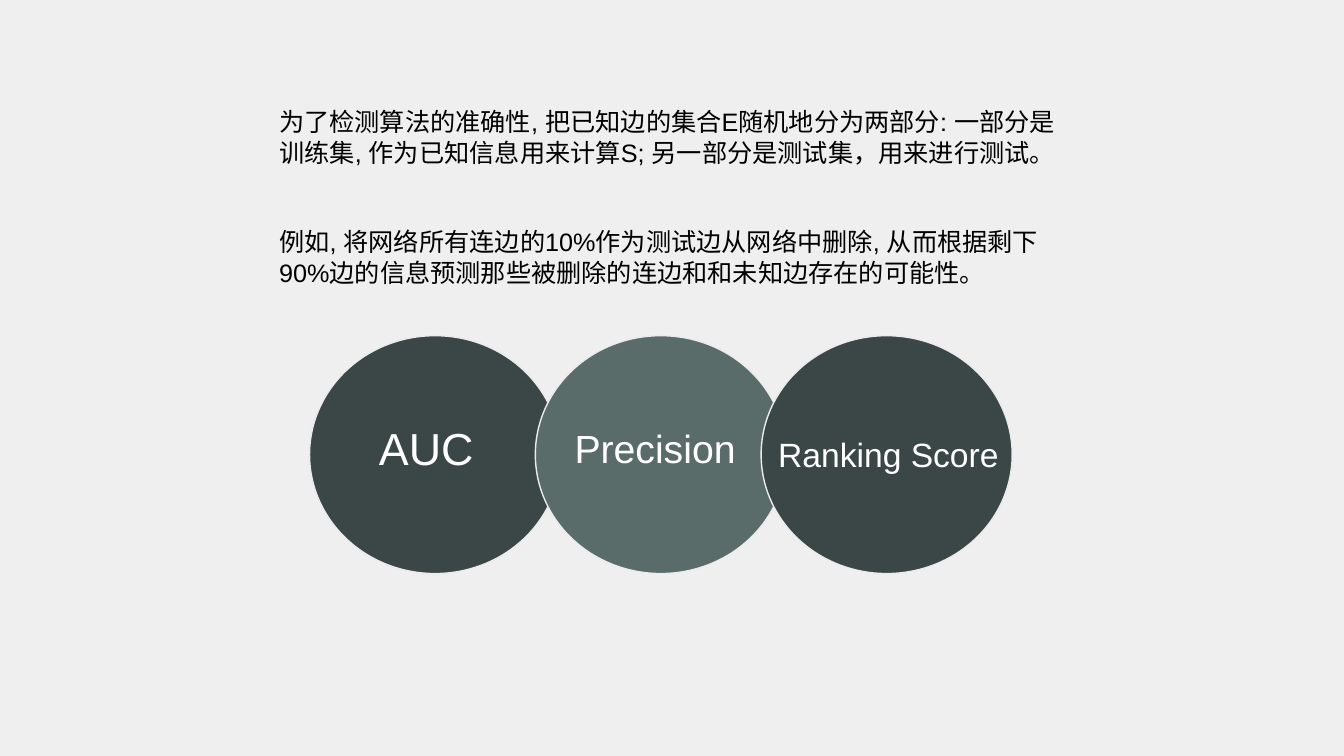
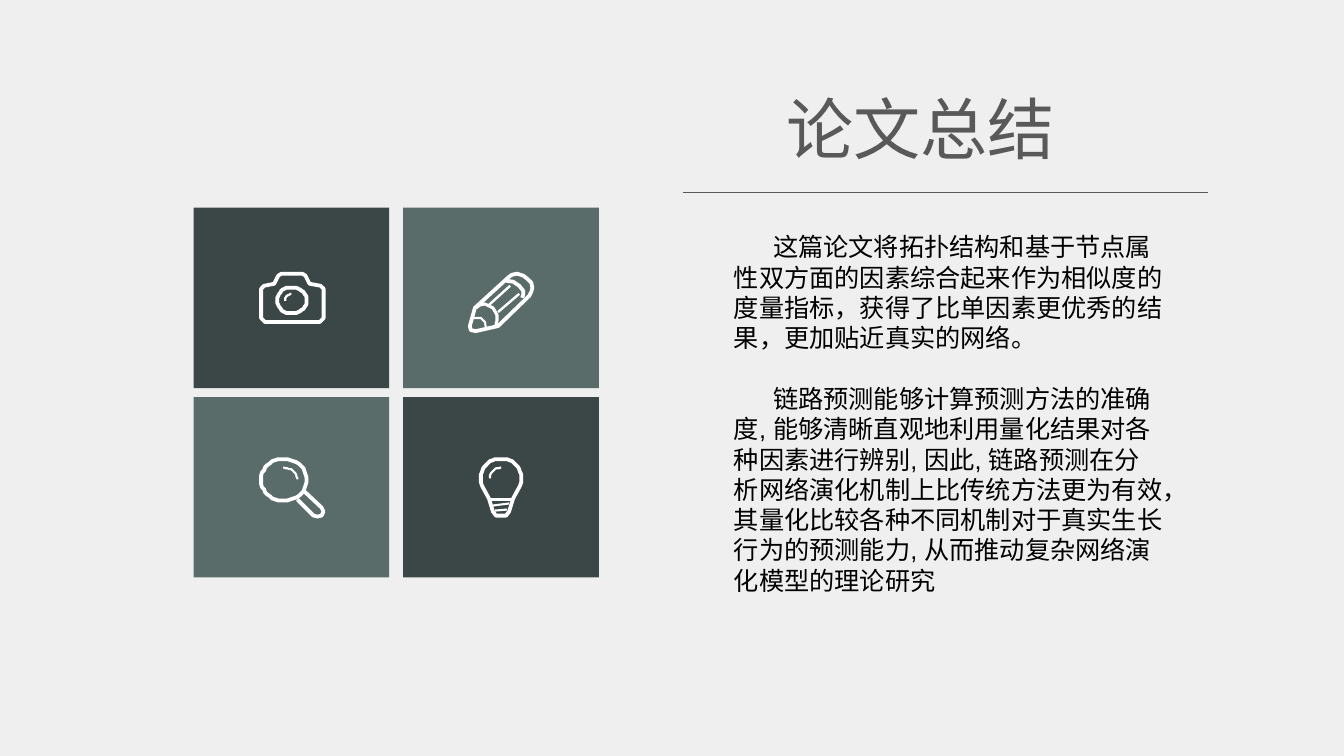
"""Builds two slides: evaluation metrics and the paper summary."""
import math

from lxml import etree
from pptx import Presentation
from pptx.dml.color import RGBColor
from pptx.enum import shapes, text
from pptx.oxml.ns import qn
from pptx.util import Inches, Pt

COLORS = {"background": "EFEFEF", "dark": "3B4746", "mid": "5A6C6A",
          "edge": "EBEBEB", "white": "FFFFFF", "gray": "595959", "black": "000000"}
CJK_FONT = "Noto Sans CJK SC"
LABEL = {"name": "Arial", "color": "white"}
BODY = {"name": "Arial", "size": 18, "color": "black"}
TITLE = {"name": CJK_FONT, "size": 48, "color": "gray"}

presentation = Presentation()
presentation.slide_width = Inches(13.33)
presentation.slide_height = Inches(7.5)
# The layout grid has 100 columns and 100 rows.
COLUMN = presentation.slide_width / 100
ROW = presentation.slide_height / 100


def rgb(name):
    """Return a palette colour."""
    return RGBColor.from_string(COLORS[name])


def place(box):
    """Turn a (left, top, width, height) grid box into slide lengths."""
    return [round(value * unit) for value, unit in zip(box, (COLUMN, ROW) * 2)]


def add_shape(slide, kind, box, fill, edge=None):
    """Add a flat preset shape, with a thin edge if a colour is given."""
    shape = slide.shapes.add_shape(kind, *place(box))
    shape.shadow.inherit = False
    shape.fill.solid()
    shape.fill.fore_color.rgb = rgb(fill)
    if edge:
        shape.line.color.rgb = rgb(edge)
        shape.line.width = Pt(1)
    else:
        shape.line.fill.background()
    return shape


def add_text(slide, box, paragraphs, style, layout=None, wrap=True, indent=0):
    """Add a text box; layout holds paragraph settings, the gap only between paragraphs."""
    frame = slide.shapes.add_textbox(*place(box)).text_frame
    frame.word_wrap = wrap
    frame.auto_size = text.MSO_AUTO_SIZE.SHAPE_TO_FIT_TEXT
    for index, words in enumerate(paragraphs):
        paragraph = frame.paragraphs[0] if index == 0 else frame.add_paragraph()
        for name, value in (layout or {}).items():
            if name != "space_before" or index:
                setattr(paragraph, name, value)
        if indent:
            paragraph._p.get_or_add_pPr().set("indent", str(Pt(indent)))
        run = paragraph.add_run()
        run.text = words
        font = {"name": style["name"], "size": Pt(style["size"])}
        for name, value in font.items():
            setattr(run.font, name, value)
        run.font.color.rgb = rgb(style["color"])
        etree.SubElement(run._r.get_or_add_rPr(), qn("a:ea"), typeface=CJK_FONT)


def add_rule(slide, left, right, row):
    """Add a hairline across the given columns."""
    start_x, y, end_x, _ = place((left, row, right, row))
    line = slide.shapes.add_connector(shapes.MSO_CONNECTOR.STRAIGHT, start_x, y, end_x, y)
    line.line.color.rgb = rgb("gray")
    line.line.width = Pt(0.25)
    etree.SubElement(line._element.spPr, qn("a:effectLst"))


def arc(center_x, center_y, radius_x, radius_y, start=0, end=360):
    """Return points along an ellipse, in degrees clockwise from the right."""
    steps = max(8, abs(end - start) // 8)
    angles = [math.radians(start + (end - start) * i / steps) for i in range(steps + 1)]
    return [(center_x + radius_x * math.cos(a), center_y + radius_y * math.sin(a))
            for a in angles]


# Each stroke: points from the tile centre in 1/194 of the tile width, line width, closed.
CAMERA = [
    ([(-30, -9), (-27, -12.5), (-17, -14), (-13, -22), (-10, -24), (11, -24), (14, -22),
      (18, -14), (29, -12.5), (32, -9), (32, 20), (28, 23.5), (-26, 23.5), (-30, 20)], 2.7, True),
    (arc(0.5, 2.5, 14.7, 13), 2.7, True),
    (arc(0.5, 2.5, 7, 6.5, 180, 270), 1.5, False),
]
PENCIL = [
    ([(-31, 28), (-26.5, 10.5), (7.5, -21), (11, -23), (16, -23.5), (22, -22), (26.5, -19),
      (30, -15), (31, -10.5), (30.5, -6), (28.5, -2), (-3, 27.5), (-25, 33), (-30, 32)], 2.7, True),
    ([(-25, 9.5), (-21, 7), (-16, 6.5), (-8, 10.5), (-4, 17), (-3.5, 22), (-5, 27)], 2.2, False),
    ([(5, -17), (12, -16), (18, -12.5), (22, -7), (22.5, -3), (21, 0)], 2.7, False),
    ([(-27, 19.5), (-20, 20.5), (-15.5, 24.5), (-15, 30)], 1.5, False),
    ([(-12, 7), (9, -12)], 1.7, False),
    ([(-3, 14.5), (18, -4.5)], 1.7, False),
]
MAGNIFIER = [
    (arc(-7.5, -7.5, 22.5, 21), 2.7, True),
    ([(13, 4.5), (30.5, 20.5), (32, 24.5), (30, 28), (26, 29), (22.5, 27.5), (5.5, 12)], 2.7, False),
    (arc(-8, -7.5, 14, 12, -90, 0), 1.5, False),
]
BULB = [
    (arc(0, -9.5, 20.5, 19, 150, 390)
     + [(12, 11), (8, 24), (5, 28), (0, 28.5), (-5, 28), (-8, 24), (-12, 11)], 2.7, True),
    ([(-11, 11.5), (11, 11.5)], 2.5, False),
    ([(-8, 18), (8, 16.5)], 1.5, False),
    ([(-6, 23), (6, 21.5)], 1.5, False),
    (arc(0, -9.5, 11, 10, 180, 270), 1.5, False),
]


def add_icon(slide, box, strokes):
    """Draw white strokes around the centre of a tile box."""
    left, top, width, height = place(box)
    for points, thickness, closed in strokes:
        builder = slide.shapes.build_freeform(*points[0], scale=width / 194)
        builder.add_line_segments(points[1:], close=closed)
        stroke = builder.convert_to_shape(left + width // 2, top + height // 2)
        stroke.shadow.inherit = False
        stroke.fill.background()
        stroke.line.color.rgb = rgb("white")
        stroke.line.width = Pt(thickness)
        etree.SubElement(stroke.line._get_or_add_ln(), qn("a:round"))


def add_metric_circles(slide, box, metrics):
    """Chain overlapping circles across the box, each with its label."""
    left, top, width, height = box
    diameter = 18.68
    step = (width - diameter) / (len(metrics) - 1)
    for index, (_, fill, _, _) in enumerate(metrics):
        add_shape(slide, shapes.MSO_SHAPE.OVAL,
                  (left + index * step, top, diameter, height), fill, "edge")
    for index, (label, _, size, (dx, dy, label_width, label_height)) in enumerate(metrics):
        add_text(slide, (left + index * step + dx, top + dy, label_width, label_height),
                 [label], {**LABEL, "size": size})


def add_icon_tiles(slide, box, icons, columns=2, gap_x=1.05, gap_y=1.2):
    """Fill the box with a checkered grid of icon tiles."""
    left, top, width, height = box
    rows = len(icons) // columns
    tile_width = (width - gap_x * (columns - 1)) / columns
    tile_height = (height - gap_y * (rows - 1)) / rows
    for index, icon in enumerate(icons):
        row, column = divmod(index, columns)
        tile = (left + column * (tile_width + gap_x), top + row * (tile_height + gap_y),
                tile_width, tile_height)
        add_shape(slide, shapes.MSO_SHAPE.RECTANGLE, tile, ("dark", "mid")[(row + column) % 2])
        add_icon(slide, tile, icon)


def new_slide():
    """Add a slide on the blank layout."""
    return presentation.slides.add_slide(presentation.slide_layouts[6])


def build_metrics_slide():
    """Explain the test split and name the three metrics."""
    slide = new_slide()
    add_metric_circles(slide, (23.03, 44.4, 52.28, 31.47), [
        ("AUC", "dark", 32, (4.43, 10.53, 12.6, 8.53)),
        ("Precision", "mid", 28, (2.18, 11.07, 15.3, 7.6)),
        ("Ranking Score", "dark", 24, (0.53, 12.27, 18.15, 6.67)),
    ])
    add_text(slide, (20.03, 13.33, 61.07, 21.6), [
        "为了检测算法的准确性, 把已知边的集合E随机地分为两部分: 一部分是训练集, "
        "作为已知信息用来计算S; 另一部分是测试集，用来进行测试。",
        "例如, 将网络所有连边的10%作为测试边从网络中删除, 从而根据剩下 "
        "90%边的信息预测那些被删除的连边和和未知边存在的可能性。",
    ], BODY, {"line_spacing": Pt(22), "space_before": Pt(42)})


def build_summary_slide():
    """Show the summary text beside a grid of icon tiles."""
    slide = new_slide()
    add_text(slide, (57.76, 10.8, 21.53, 12.13), ["论文总结"], TITLE,
             {"alignment": text.PP_ALIGN.JUSTIFY, "line_spacing": Pt(58)}, wrap=False)
    add_rule(slide, 50.79, 89.87, 25.47)
    add_text(slide, (53.86, 30, 33.4, 49.87), [
        "这篇论文将拓扑结构和基于节点属性双方面的因素综合起来作为相似度的度量指标，"
        "获得了比单因素更优秀的结果，更加贴近真实的网络。",
        "链路预测能够计算预测方法的准确度, 能够清晰直观地利用量化结果对各种因素进行辨别, "
        "因此, 链路预测在分析网络演化机制上比传统方法更为有效，其量化比较各种不同机制"
        "对于真实生长行为的预测能力, 从而推动复杂网络演化模型的理论研究",
    ], BODY, {"line_spacing": Pt(21.6), "space_before": Pt(22)}, indent=28)
    add_icon_tiles(slide, (14.4, 27.47, 30.16, 48.93), [CAMERA, PENCIL, MAGNIFIER, BULB])


master_fill = presentation.slide_master.background.fill
master_fill.solid()
master_fill.fore_color.rgb = rgb("background")
build_metrics_slide()
build_summary_slide()
presentation.save("out.pptx")
